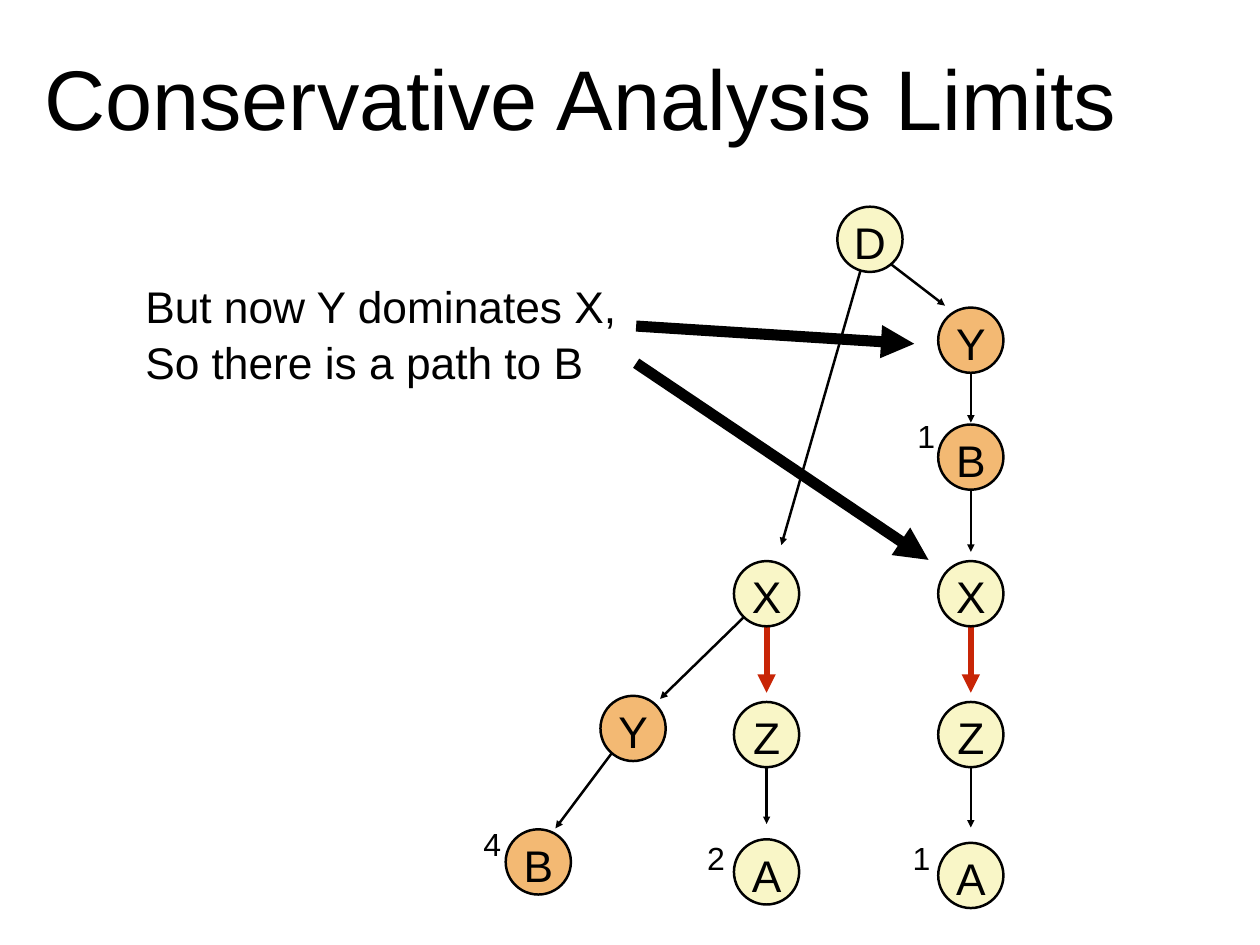
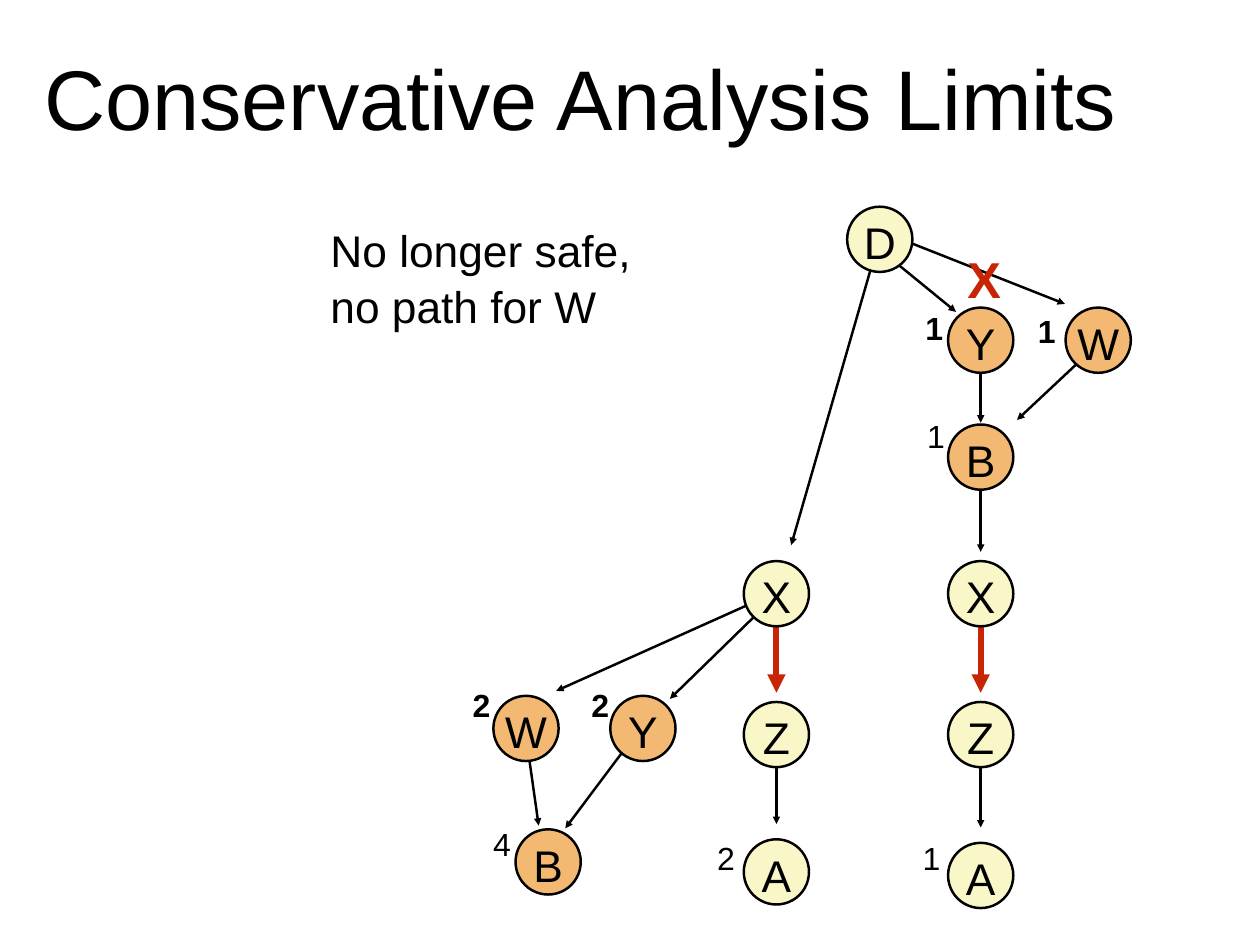
from dataclasses import dataclass

from lxml import etree
from pptx import Presentation
from pptx import util as u
from pptx.dml.color import RGBColor
from pptx.enum import shapes, text
from pptx.oxml import ns


@dataclass(frozen=True)
class Theme:
    font: str = "Arial"
    ink: str = "000000"
    red: str = "C82506"
    cream: str = "F9F6C7"
    orange: str = "F3B973"
    title_size: float = 68.8
    body_size: float = 36
    count_size: float = 26
    cross_size: float = 41
    thin: float = 2
    strong: float = 5
    heavy: float = 9
    node: float = 53
    inset: float = 4.3
    drop: float = 4


class SlideBuilder:
    def __init__(self, deck, theme):
        self.deck, self.theme = deck, theme
        self.page = None
        self.shift = 0

    def start(self, title, shift=0):
        self.page = self.deck.slides.add_slide(self.deck.slide_layouts[6])
        self.shift = 0
        self.box(title, 31.7, 32.7, 990.7, 91.4, self.theme.title_size,
                 anchor=text.MSO_ANCHOR.BOTTOM)
        self.shift = shift

    def set_words(self, shape, words, size, color, bold=False, align=text.PP_ALIGN.LEFT,
                  anchor=text.MSO_ANCHOR.MIDDLE, spacing=None):
        frame = shape.text_frame
        frame.text = words
        frame.word_wrap = False
        frame.vertical_anchor = anchor
        for para in frame.paragraphs:
            para.alignment = align
            para.line_spacing = spacing
            for span in para.runs:
                span.font.name = self.theme.font
                span.font.size = u.Pt(size)
                span.font.bold = bold
                span.font.color.rgb = RGBColor.from_string(color)
        return frame

    def box(self, words, left, top, width, height, size, color=None, **style):
        box = self.page.shapes.add_textbox(
            u.Pt(left + self.shift), u.Pt(top), u.Pt(width), u.Pt(height))
        frame = self.set_words(box, words, size, color or self.theme.ink, **style)
        frame.margin_left = frame.margin_right = u.Pt(self.theme.inset)
        frame.margin_top = frame.margin_bottom = u.Pt(self.theme.inset)

    def note(self, words, left, top, width):
        self.box(words, left, top, width, 94.3, self.theme.body_size, spacing=1.04)

    def mark(self, words, x, y, size=None, **style):
        size = size or self.theme.count_size
        width, height = size, size * 1.5
        self.box(words, x - width / 2, y - height / 2 + 1, width, height, size,
                 align=text.PP_ALIGN.CENTER, **style)

    def node(self, letter, x, y, fill):
        side = self.theme.node
        node = self.page.shapes.add_shape(
            shapes.MSO_SHAPE.OVAL, u.Pt(x - side / 2 + self.shift),
            u.Pt(y - side / 2), u.Pt(side), u.Pt(side))
        node.shadow.inherit = False
        node.fill.solid()
        node.fill.fore_color.rgb = RGBColor.from_string(fill)
        node.line.color.rgb = RGBColor.from_string(self.theme.ink)
        node.line.width = u.Pt(self.theme.thin)
        frame = self.set_words(node, letter, self.theme.body_size, self.theme.ink,
                               align=text.PP_ALIGN.CENTER)
        frame.margin_left = frame.margin_right = frame.margin_bottom = 0
        frame.margin_top = u.Pt(self.theme.drop)

    def arrow(self, start, tip, color=None, width=None):
        arrow = self.page.shapes.add_connector(
            shapes.MSO_CONNECTOR.STRAIGHT,
            u.Pt(start[0] + self.shift), u.Pt(start[1]),
            u.Pt(tip[0] + self.shift), u.Pt(tip[1]))
        arrow.line.color.rgb = RGBColor.from_string(color or self.theme.ink)
        arrow.line.width = u.Pt(width or self.theme.thin)
        outline = arrow.element.spPr.find(ns.qn("a:ln"))
        etree.SubElement(outline, ns.qn("a:tailEnd"), type="triangle")
        etree.SubElement(arrow.element.spPr, ns.qn("a:effectLst"))

    def graph(self, extra_arrows, extra_nodes=()):
        theme = self.theme
        middle, right = 623, 789
        for start, tip in SHARED_ARROWS + extra_arrows:
            self.arrow(start, tip)
        for x, end in ((middle, 669.6), (right, 672.5)):
            self.arrow((x, 482.5), (x, 563), theme.red, theme.strong)
            self.arrow((x, 597), (x, end))
            self.node("X", x, 482.5, theme.cream)
            self.node("Z", x, 597, theme.cream)
            self.node("A", x, end + 39, theme.cream)
        self.node("D", 707, 194.5, theme.cream)
        for letter, x, y in SHARED_ORANGE + list(extra_nodes):
            self.node(letter, x, y, theme.orange)
        for count, x, y in SHARED_COUNTS:
            self.mark(count, x, y)


TITLE = "Conservative Analysis Limits"
SHARED_ARROWS = [
    ((705.6, 198), (635, 443)),
    ((789, 276.5), (789, 343.5)),
    ((789, 371.5), (789, 448.5)),
    ((620.5, 486), (536.4, 568)),
    ((507, 599), (451.4, 673.2)),
]
SHARED_ORANGE = [("Y", 789, 276.5), ("B", 789, 371.5), ("Y", 514.5, 592), ("B", 437.5, 700.5)]
SHARED_COUNTS = [("1", 752.8, 353.5), ("1", 749, 696), ("2", 582, 696), ("4", 400, 684.7)]


def dominated_slide(builder):
    builder.start(TITLE)
    builder.graph([((707, 201.6), (768, 248.4))])
    builder.note("But now Y dominates X,\nSo there is a path to B", 113.8, 223.2, 401)
    for start, tip in (((517, 265), (743, 279.4)), ((517, 295.2), (754.6, 455))):
        builder.arrow(start, tip, width=builder.theme.heavy)


def unsafe_slide(builder):
    builder.start(TITLE, shift=8)
    builder.graph(
        [((717, 211), (769, 253.5)),
         ((717, 191.5), (857.5, 247)),
         ((886, 278), (818.5, 341.3)),
         ((623.5, 481), (444, 561.5)),
         ((419, 594.7), (429.8, 671))],
        [("W", 884.5, 276.5), ("W", 419.5, 592)])
    for count, x, y in (("1", 751.2, 265), ("1", 842.7, 267.8),
                        ("2", 383.3, 571.7), ("2", 479.8, 571.7)):
        builder.mark(count, x, y, bold=True)
    builder.note("No longer safe,\nno path for W", 256.2, 177.8, 265)
    builder.mark("X", 792, 225, builder.theme.cross_size, color=builder.theme.red, bold=True)


def main():
    deck = Presentation()
    deck.slide_width, deck.slide_height = u.Pt(1024), u.Pt(768)
    builder = SlideBuilder(deck, Theme())
    dominated_slide(builder)
    unsafe_slide(builder)
    deck.save("out.pptx")


if __name__ == "__main__":
    main()
